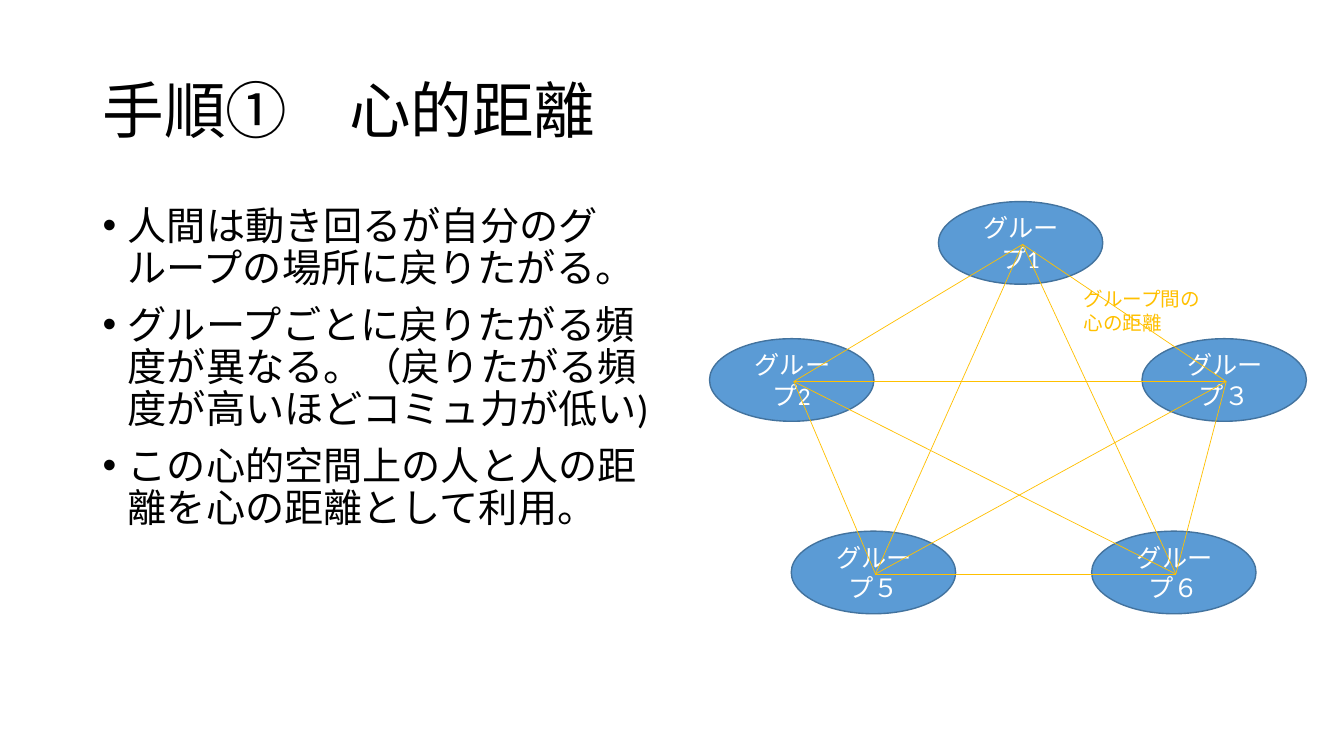
from itertools import combinations
from lxml.etree import SubElement
from pptx import Presentation
from pptx.dml.color import RGBColor
from pptx.enum.shapes import MSO_CONNECTOR, MSO_SHAPE
from pptx.enum.text import MSO_ANCHOR, PP_ALIGN
from pptx.oxml.ns import qn
from pptx.util import Inches, Pt

deck = Presentation()
deck.slide_width, deck.slide_height = Inches(13.333), Inches(7.5)
slide = deck.slides.add_slide(deck.slide_layouts[6])


def share(*percents):
    sides = (deck.slide_width, deck.slide_height) * 2
    return [round(side * percent / 100) for side, percent in zip(sides, percents)]


def write(frame, lines, size, color, **paragraph_format):
    frame.word_wrap = True
    for number, line in enumerate(lines):
        paragraph = frame.add_paragraph() if number else frame.paragraphs[0]
        for attribute, value in paragraph_format.items():
            setattr(paragraph, attribute, value)
        run = paragraph.add_run()
        run.text = line
        run.font.color.rgb = RGBColor.from_string(color)
        for attribute, value in {"size": Pt(size), "name": "Calibri"}.items():
            setattr(run.font, attribute, value)


heading = slide.shapes.add_textbox(*share(6.9, 5.33, 86.25, 19.33)).text_frame
heading.vertical_anchor = MSO_ANCHOR.MIDDLE
write(heading, ["手順①　心的距離"], 44, "000000", line_spacing=0.9)

rules = slide.shapes.add_textbox(*share(6.9, 26.67, 42.7, 63.47)).text_frame
write(rules, [
    "人間は動き回るが自分のグループの場所に戻りたがる。",
    "グループごとに戻りたがる頻度が異なる。（戻りたがる頻度が高いほどコミュ力が低い)",
    "この心的空間上の人と人の距離を心の距離として利用。",
], 28, "000000", line_spacing=0.9, space_before=Pt(10))
for rule in rules.paragraphs:
    indent = rule._p.get_or_add_pPr()
    indent.set("marL", str(Inches(0.25)))
    indent.set("indent", str(-Inches(0.25)))
    SubElement(indent, qn("a:buFont")).set("typeface", "Arial")
    SubElement(indent, qn("a:buChar")).set("char", "•")

network = slide.shapes.add_group_shape().shapes
group_width, group_height = 12.23, 10.93
group_centres = {
    "グループ1": (75.94, 32.13),
    "グループ３": (91.09, 50.27),
    "グループ2": (58.91, 50.27),
    "グループ６": (87.34, 75.73),
    "グループ５": (64.99, 75.73),
}
for group_name, (x, y) in group_centres.items():
    group = network.add_shape(
        MSO_SHAPE.FLOWCHART_CONNECTOR,
        *share(x - group_width / 2, y - group_height / 2, group_width, group_height))
    group.shadow.inherit = False
    group.fill.solid()
    group.fill.fore_color.rgb = RGBColor.from_string("5B9BD5")
    group.line.color.rgb = RGBColor.from_string("43739E")
    group.line.width = Pt(1)
    group.text_frame.vertical_anchor = MSO_ANCHOR.MIDDLE
    write(group.text_frame, [group_name], 18, "FFFFFF", alignment=PP_ALIGN.CENTER)

line_ends = [(x + 0.15, y + 0.2) for x, y in group_centres.values()]
for start, end in combinations(line_ends, 2):
    distance = network.add_connector(MSO_CONNECTOR.STRAIGHT, *share(*start, *end))
    distance.line.color.rgb = RGBColor.from_string("FFC000")
    distance.line.width = Pt(0.5)
    SubElement(distance._element.spPr, qn("a:effectLst"))

distance_label = network.add_textbox(*share(79.88, 37.33, 11.1, 7.33)).text_frame
write(distance_label, ["グループ間の心の距離"], 14, "FFC000")

deck.save("out.pptx")
